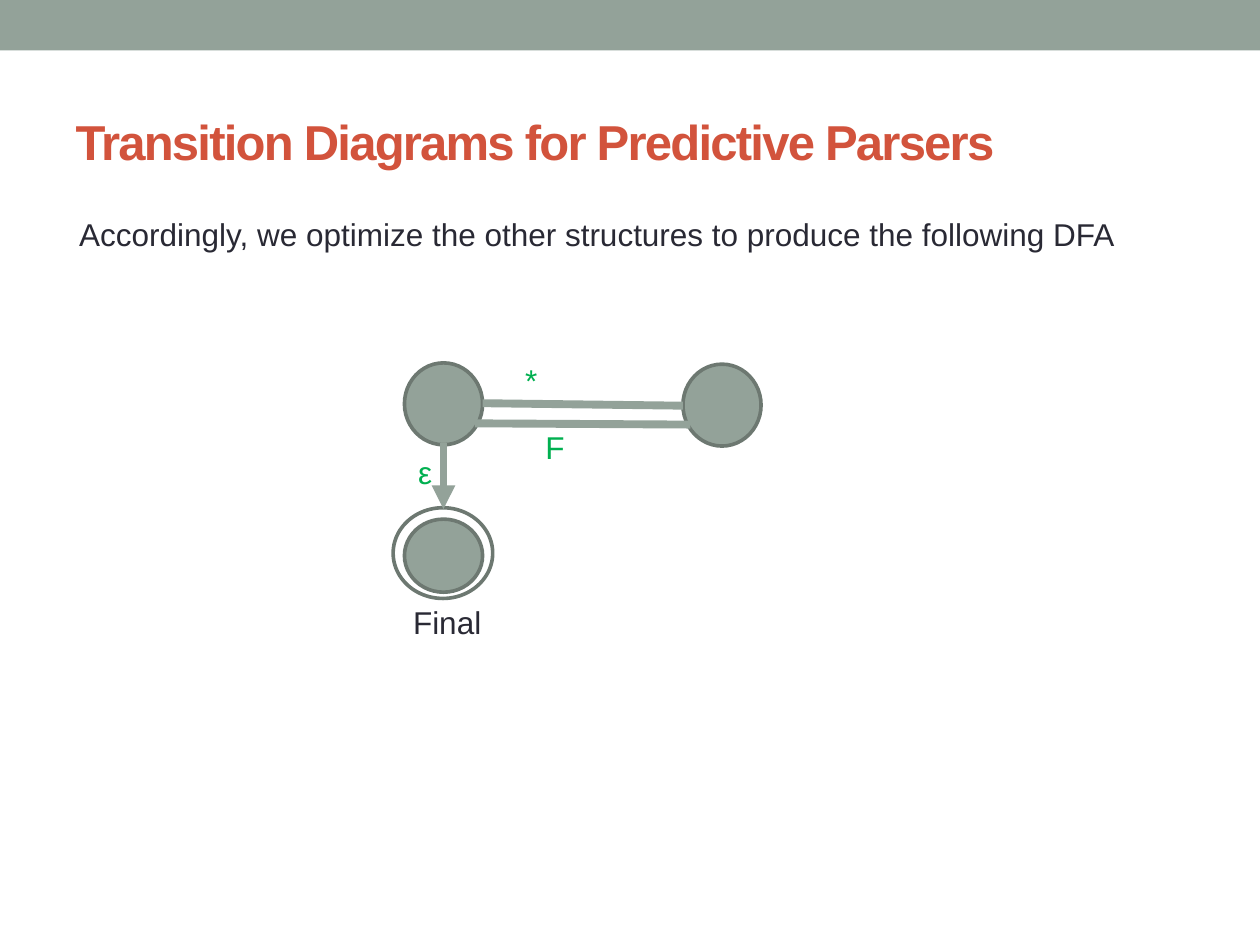
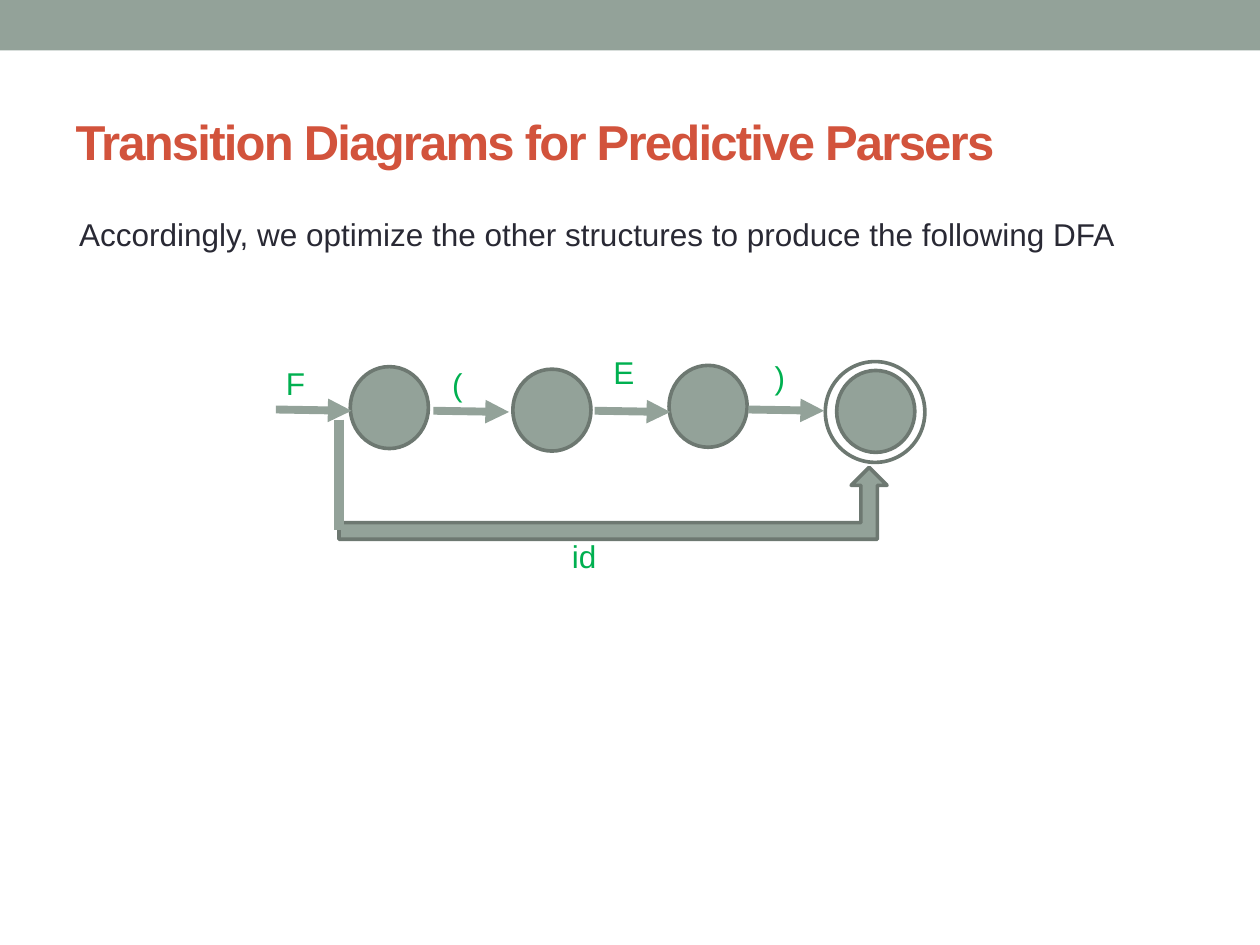
from dataclasses import dataclass

from lxml.etree import SubElement
from pptx import Presentation
from pptx.dml.color import RGBColor
from pptx.enum.shapes import MSO_CONNECTOR, MSO_SHAPE
from pptx.enum.text import MSO_ANCHOR, MSO_AUTO_SIZE, PP_ALIGN
from pptx.oxml.ns import qn
from pptx.util import Inches, Pt


@dataclass(frozen=True)
class Theme:
    sage: RGBColor = RGBColor.from_string("93A299")
    edge: RGBColor = RGBColor.from_string("6D7871")
    red: RGBColor = RGBColor.from_string("D2533C")
    green: RGBColor = RGBColor.from_string("00B050")
    ink: RGBColor = RGBColor.from_string("292934")
    font: str = "Arial"
    head: int = 28
    text: int = 18
    rim: float = 2.08
    wire: float = 4.5
    thick: float = 6


TITLE = "Transition Diagrams for Predictive Parsers"
INTRO = "Accordingly, we optimize the other structures to produce the following DFA"
NODE = 0.62  # width of a state
RING = 0.79  # width of the ring around a final state


class Deck:
    def __init__(self, theme):
        self.theme = theme
        self.file = Presentation()
        self.file.slide_width, self.file.slide_height = Inches(10), Inches(7.5)
        self.slide = None

    def page(self):
        """Start a slide with the band, title and opening line."""
        self.slide = self.file.slides.add_slide(self.file.slide_layouts[5])
        self.shape(MSO_SHAPE.RECTANGLE, 0, 0, 10, 0.4, rim=False)
        self.title(TITLE)
        self.label(INTRO, 0.53, 1.66, 9.22, self.theme.ink)

    def style(self, para, size, color, bold=False):
        para.alignment = PP_ALIGN.LEFT
        font = para.font
        font.name, font.size, font.bold = self.theme.font, Pt(size), bold
        font.color.rgb = color

    def title(self, text):
        box = self.slide.shapes.title
        box.left, box.top = Inches(0.5), Inches(0.58)
        box.width, box.height = Inches(9), Inches(1.08)
        frame = box.text_frame
        frame.text = text
        frame.vertical_anchor = MSO_ANCHOR.MIDDLE
        para = frame.paragraphs[0]
        self.style(para, self.theme.head, self.theme.red, bold=True)
        # Tighten the letters by one point
        para.runs[0].font._element.set("spc", "-100")

    def label(self, text, left, top, width=0.47, color=None):
        box = self.slide.shapes.add_textbox(
            Inches(left), Inches(top), Inches(width), Inches(0.4))
        frame = box.text_frame
        frame.word_wrap = True
        frame.auto_size = MSO_AUTO_SIZE.SHAPE_TO_FIT_TEXT
        frame.text = text
        self.style(frame.paragraphs[0], self.theme.text, color or self.theme.green)

    def shape(self, kind, left, top, width, height, fill=True, rim=True):
        item = self.slide.shapes.add_shape(
            kind, Inches(left), Inches(top), Inches(width), Inches(height))
        item.shadow.inherit = False
        if fill:
            item.fill.solid()
            item.fill.fore_color.rgb = self.theme.sage
        else:
            item.fill.background()
        if rim:
            item.line.color.rgb = self.theme.edge
            item.line.width = Pt(self.theme.rim)
        else:
            item.line.fill.background()
        return item

    def state(self, left, top, height=0.65):
        self.shape(MSO_SHAPE.OVAL, left, top, NODE, height)

    def ring(self, left, top, height):
        self.shape(MSO_SHAPE.OVAL, left, top, RING, height, fill=False)

    def wire(self, start, end, arrow=False, width=None):
        item = self.slide.shapes.add_connector(
            MSO_CONNECTOR.STRAIGHT, *map(Inches, (*start, *end)))
        item.line.color.rgb = self.theme.sage
        item.line.width = Pt(width or self.theme.wire)
        if arrow:
            SubElement(item.line._get_or_add_ln(), qn("a:tailEnd"), type="triangle")
        SubElement(item._element.spPr, qn("a:effectLst"))


def loop(deck):
    """Loop on * and F, leaving by the empty move."""
    deck.page()
    deck.state(3.21, 2.88)
    deck.state(5.42, 2.89)
    deck.state(3.21, 4.12, 0.58)
    deck.ring(3.12, 4.03, 0.72)
    deck.wire((3.52, 3.52), (3.52, 4.04), arrow=True)
    deck.wire((3.83, 3.2), (5.42, 3.22))
    deck.wire((3.77, 3.36), (5.48, 3.37))
    deck.label("*", 4.07, 2.82)
    deck.label("F", 4.23, 3.35)
    deck.label("ε", 3.22, 3.55)
    deck.label("Final", 3.18, 4.74, 1.12, deck.theme.ink)


def chain(deck):
    """Chain of states for F, with a bypass for id."""
    deck.page()
    for left, top in ((2.78, 2.91), (4.07, 2.93), (5.31, 2.9), (6.64, 2.94)):
        deck.state(left, top)
    deck.ring(6.55, 2.87, 0.8)

    # Moves between the states
    for left, top in ((2.19, 3.25), (3.44, 3.26), (4.72, 3.26), (5.94, 3.25)):
        deck.wire((left, top), (left + 0.6, top + 0.01), arrow=True)

    # Bypass
    bend = deck.shape(MSO_SHAPE.BENT_UP_ARROW, 2.69, 3.71, 4.35, 0.57)
    for i, value in enumerate((0.23, 0.25, 0.25)):
        bend.adjustments[i] = value
    deck.wire((2.69, 3.33), (2.69, 4.21), width=deck.theme.thick)

    # Symbols
    for text, left, top in (("F", 2.17, 2.84), ("(", 3.49, 2.85), ("E", 4.77, 2.75),
                            (")", 6.05, 2.79), ("id", 4.44, 4.21)):
        deck.label(text, left, top)


def main():
    deck = Deck(Theme())
    loop(deck)
    chain(deck)
    deck.file.save("out.pptx")


if __name__ == "__main__":
    main()
